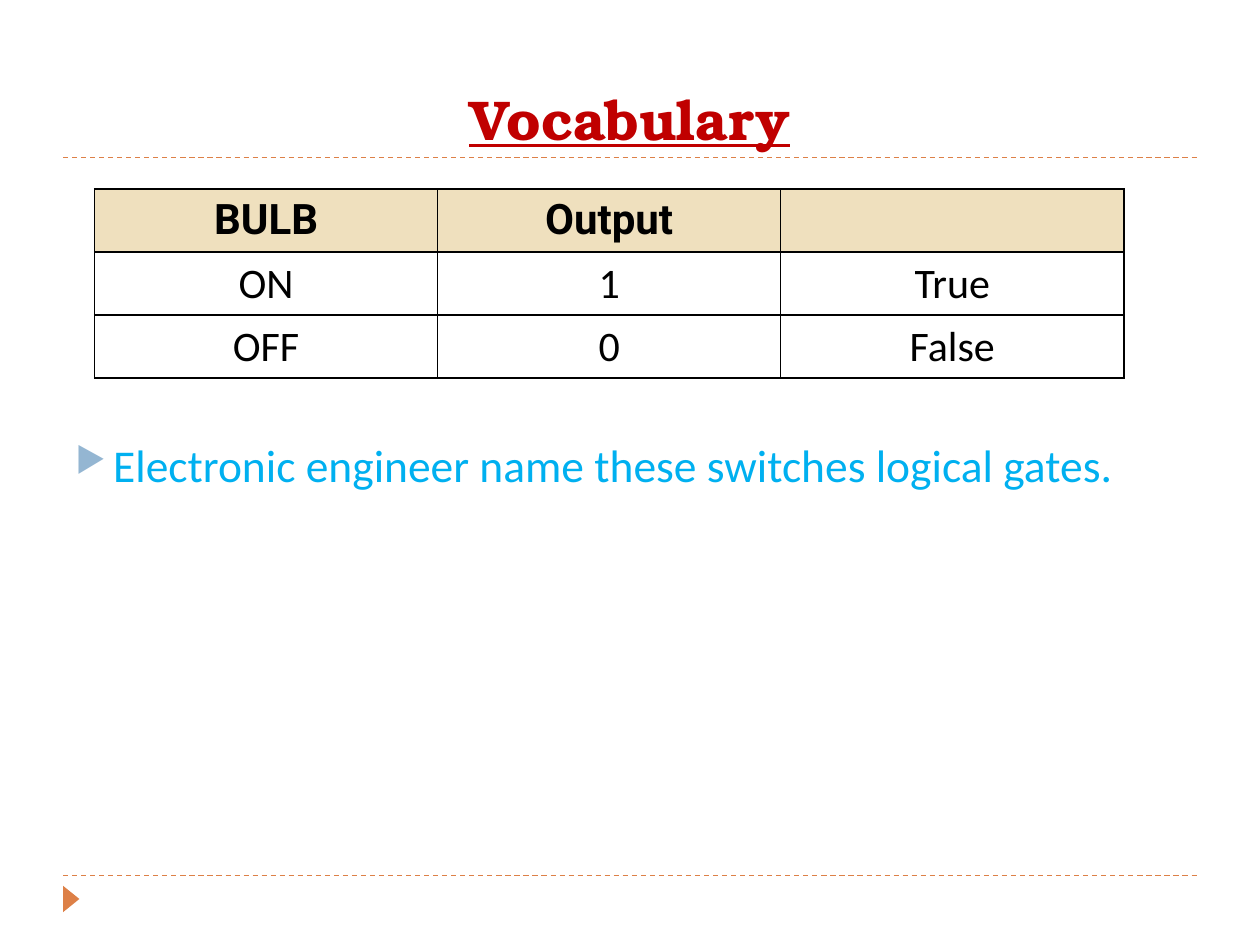
from lxml.etree import SubElement
from pptx import Presentation
from pptx.dml.color import RGBColor
from pptx.enum.dml import MSO_LINE
from pptx.enum.shapes import MSO_CONNECTOR, MSO_SHAPE
from pptx.enum.text import MSO_ANCHOR, PP_ALIGN
from pptx.oxml.ns import qn
from pptx.util import Inches, Pt

ORANGE = "DD8047"
ROWS = [("BULB", "Output", ""), ("ON", "1", "True"), ("OFF", "0", "False")]


def color(code):
    return RGBColor.from_string(code)


def style(para, face, size, code, bold=False):
    font = para.font
    font.name, font.size, font.bold = face, Pt(size), bold
    font.color.rgb = color(code)


def add_rule(slide, y):
    """Draw a dashed line across the slide."""
    rule = slide.shapes.add_connector(
        MSO_CONNECTOR.STRAIGHT, Inches(0.5), Inches(y), Inches(9.5), Inches(y))
    rule.line.color.rgb = color(ORANGE)
    rule.line.width = Pt(0.75)
    rule.line.dash_style = MSO_LINE.DASH
    SubElement(rule._element.spPr, qn("a:effectLst"))


def add_marker(slide):
    mark = slide.shapes.add_shape(
        MSO_SHAPE.ISOSCELES_TRIANGLE,
        Inches(0.46), Inches(7.07), Inches(0.21), Inches(0.13))
    mark.rotation = 90
    mark.shadow.inherit = False
    mark.fill.solid()
    mark.fill.fore_color.rgb = color(ORANGE)
    mark.line.fill.background()


def add_text(slide, text, top, height, anchor):
    box = slide.shapes.add_textbox(
        Inches(0.5), Inches(top), Inches(9), Inches(height))
    frame = box.text_frame
    frame.word_wrap = True
    frame.vertical_anchor = anchor
    para = frame.paragraphs[0]
    para.text = text
    return para


def add_bullet(para):
    props = para._p.get_or_add_pPr()
    props.set("marL", str(Inches(0.3)))
    props.set("indent", str(-Inches(0.3)))
    tint = SubElement(props, qn("a:buClr"))
    SubElement(tint, qn("a:srgbClr"), val="94B6D2")
    SubElement(props, qn("a:buSzPct"), val="76000")
    SubElement(props, qn("a:buChar"), char="▶")


def add_border(cell):
    """Put a thin black line on each side; call before filling the cell."""
    props = cell._tc.get_or_add_tcPr()
    for side in ("lnL", "lnR", "lnT", "lnB"):
        line = SubElement(props, qn(f"a:{side}"), w=str(Pt(1)))
        fill = SubElement(line, qn("a:solidFill"))
        SubElement(fill, qn("a:srgbClr"), val="000000")


def add_grid(slide):
    table = slide.shapes.add_table(
        len(ROWS), len(ROWS[0]),
        Inches(0.75), Inches(1.5), Inches(8.17), Inches(1.5)).table
    table.horz_banding = False
    for r, row in enumerate(ROWS):
        head = r == 0
        for c, text in enumerate(row):
            cell = table.cell(r, c)
            add_border(cell)
            if head:
                cell.fill.solid()
                cell.fill.fore_color.rgb = color("EFE0BE")
            else:
                cell.fill.background()
            para = cell.text_frame.paragraphs[0]
            para.text = text
            para.alignment = PP_ALIGN.CENTER
            style(para, "Roboto" if head else "Calibri", 24, "000000", head)


def main():
    deck = Presentation()
    deck.slide_width, deck.slide_height = Inches(10), Inches(7.5)
    slide = deck.slides.add_slide(deck.slide_layouts[6])

    for y in (6.95, 1.25):
        add_rule(slide, y)
    add_marker(slide)

    title = add_text(slide, "Vocabulary", 0.17, 1.08, MSO_ANCHOR.BOTTOM)
    title.alignment = PP_ALIGN.CENTER
    style(title, "TeX Gyre Bonum", 32, "C00000", True)
    title.font.underline = True

    note = add_text(
        slide, "Electronic engineer name these switches logical gates.",
        3.42, 3.31, MSO_ANCHOR.TOP)
    add_bullet(note)
    style(note, "Calibri", 26, "00B0F0")

    add_grid(slide)
    deck.save("out.pptx")


if __name__ == "__main__":
    main()
